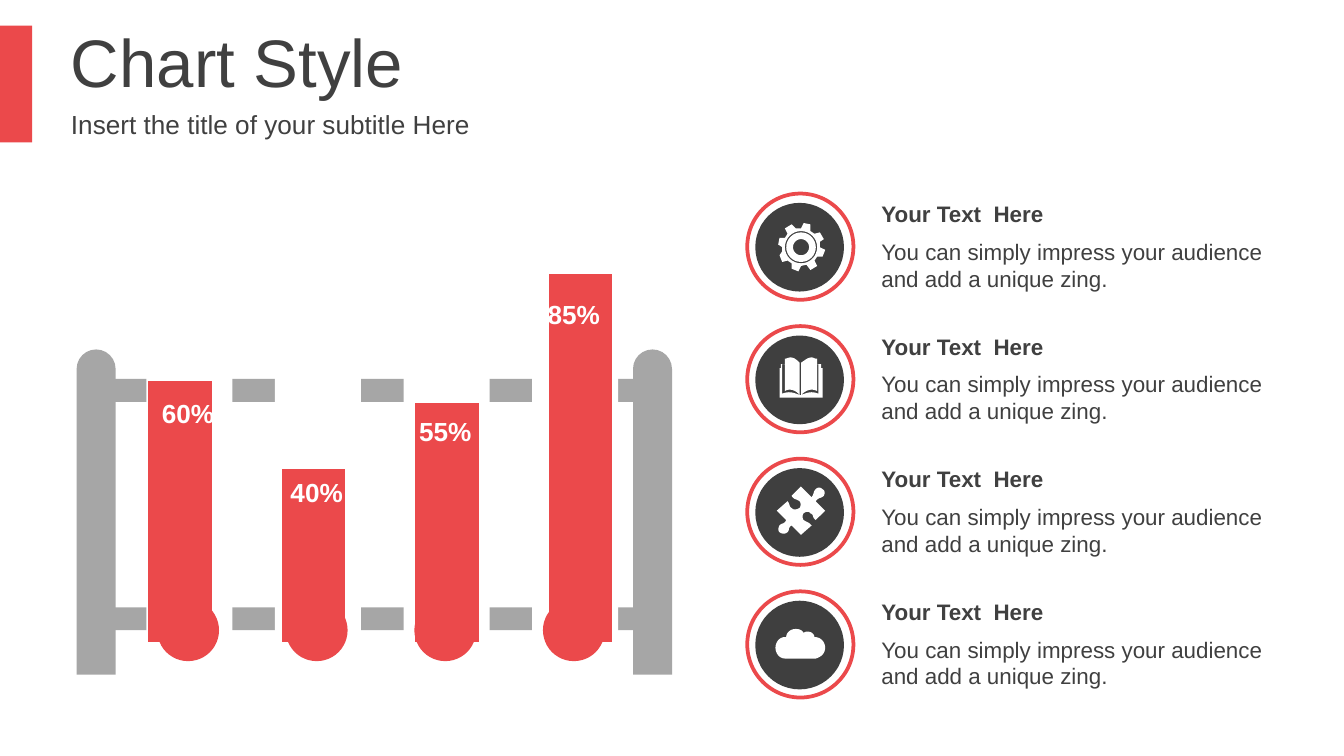
from math import cos, pi, sin

from lxml.etree import SubElement
from pptx import Presentation
from pptx.chart.data import CategoryChartData
from pptx.dml.color import RGBColor
from pptx.enum.chart import XL_CHART_TYPE
from pptx.enum.shapes import MSO_SHAPE
from pptx.enum.text import MSO_ANCHOR, PP_ALIGN
from pptx.oxml.ns import qn
from pptx.util import Inches, Pt

# Content
COLORS = {"red": "EB494B", "dark": "3F3F3F", "text": "404040",
          "gray": "A6A6A6", "white": "FFFFFF"}
TITLE = "Chart Style"
SUBTITLE = "Insert the title of your subtitle Here"
HEADING = "Your Text  Here"
BODY = "You can simply impress your audience and add a unique zing."
BARS = [("60%", 71, 2.9), ("40%", 47, 3.49), ("55%", 65, 3.04), ("85%", 100, 2.17)]
TUBE_LEFT, TUBE_SPAN = 0.96, 2.87  # first tube, distance to the last one
ROW_TOP, ROW_SPAN = 1.44, 2.96  # first row, distance to the last one

# Outlines: a pair is a straight line, six numbers are a Bezier curve
TUBE = [(1.05, 1.72), (1.77, 1.72), (1.82, 1.72, 1.86, 1.76, 1.86, 1.81),
        (1.86, 1.86, 1.82, 1.9, 1.77, 1.9), (1.73, 1.9), (1.73, 4.69),
        (1.73, 4.87, 1.59, 5.02, 1.41, 5.02), (1.23, 5.02, 1.09, 4.87, 1.09, 4.69),
        (1.09, 1.9), (1.05, 1.9), (1, 1.9, 0.96, 1.86, 0.96, 1.81),
        (0.96, 1.76, 1, 1.72, 1.05, 1.72)]
GEAR = [(6.03, 1.67), (6.03, 1.72), (6.06, 1.74), (6.1, 1.73), (6.13, 1.78),
        (6.1, 1.8), (6.1, 1.84), (6.14, 1.86), (6.12, 1.91), (6.08, 1.91),
        (6.06, 1.94), (6.08, 1.98), (6.03, 2.01), (6, 1.97), (5.96, 1.98),
        (5.94, 2.02), (5.89, 2), (5.89, 1.96), (5.86, 1.94), (5.82, 1.95),
        (5.8, 1.9), (5.82, 1.87), (5.82, 1.84), (5.79, 1.82), (5.8, 1.77),
        (5.84, 1.77), (5.86, 1.74), (5.84, 1.7), (5.89, 1.67), (5.92, 1.7),
        (5.96, 1.7), (5.98, 1.66)]
GEAR_CENTER, GEAR_RADII = (5.96, 1.84), (0.12, 0.11, 0.06)
BOOK = [(5.95, 2.94), (5.96, 2.94), (6.01, 2.92, 6.04, 2.91, 6.09, 2.93),
        (6.09, 2.71), (6.08, 2.71), (6.08, 2.91), (6.04, 2.89, 6, 2.9, 5.96, 2.94),
        (5.96, 2.7), (5.99, 2.68, 6.01, 2.66, 6.04, 2.66),
        (6.05, 2.66, 6.06, 2.67, 6.08, 2.67), (6.08, 2.71), (6.11, 2.71),
        (6.11, 2.74), (6.12, 2.74), (6.12, 2.96), (5.8, 2.96), (5.8, 2.74),
        (5.81, 2.74), (5.81, 2.71), (5.84, 2.71), (5.84, 2.67),
        (5.85, 2.67, 5.87, 2.66, 5.88, 2.66), (5.91, 2.66, 5.93, 2.68, 5.95, 2.7),
        (5.95, 2.94), (5.92, 2.9, 5.87, 2.89, 5.84, 2.91), (5.84, 2.71),
        (5.82, 2.71), (5.82, 2.93), (5.87, 2.91, 5.9, 2.92, 5.95, 2.94)]
PUZZLE = [(6.12, 3.64), (6.14, 3.65, 6.14, 3.67, 6.13, 3.69),
          (6.11, 3.71, 6.09, 3.7, 6.07, 3.73), (6.14, 3.8), (6.07, 3.87),
          (6.04, 3.85, 6.06, 3.83, 6.03, 3.82), (6.02, 3.8, 5.99, 3.81, 5.98, 3.82),
          (5.97, 3.83, 5.97, 3.86, 5.98, 3.87), (6.01, 3.89, 6.01, 3.88, 6.04, 3.91),
          (5.96, 3.98), (5.89, 3.91), (5.86, 3.93, 5.88, 3.94, 5.86, 3.96),
          (5.84, 3.98, 5.81, 3.97, 5.8, 3.96), (5.79, 3.95, 5.79, 3.93, 5.8, 3.91),
          (5.82, 3.89, 5.84, 3.9, 5.85, 3.87), (5.78, 3.8), (5.86, 3.73),
          (5.88, 3.75, 5.87, 3.77, 5.89, 3.78), (5.91, 3.8, 5.93, 3.79, 5.95, 3.78),
          (5.96, 3.77, 5.96, 3.74, 5.95, 3.73), (5.92, 3.71, 5.91, 3.72, 5.89, 3.69),
          (5.96, 3.62), (6.04, 3.7), (6.06, 3.67, 6.05, 3.66, 6.07, 3.64),
          (6.09, 3.62, 6.11, 3.63, 6.12, 3.64)]
CLOUD = [(5.92, 4.68), (5.95, 4.68, 5.97, 4.69, 5.98, 4.71),
         (5.99, 4.7, 6, 4.7, 6.01, 4.7), (6.04, 4.7, 6.06, 4.72, 6.06, 4.74),
         (6.11, 4.74, 6.14, 4.78, 6.14, 4.82), (6.14, 4.86, 6.11, 4.89, 6.07, 4.9),
         (5.84, 4.9), (5.8, 4.9, 5.77, 4.86, 5.77, 4.82),
         (5.77, 4.78, 5.8, 4.74, 5.84, 4.74), (5.85, 4.74),
         (5.85, 4.71, 5.88, 4.68, 5.92, 4.68)]

deck = Presentation()
deck.slide_width = Inches(10)
deck.slide_height = deck.slide_width * 9 // 16
page = deck.slides.add_slide(deck.slide_layouts[6])


def color(name):
    return RGBColor.from_string(COLORS[name])


def paint(shape, fill, line=None):
    shape.shadow.inherit = False
    shape.fill.solid()
    shape.fill.fore_color.rgb = color(fill)
    if line:
        shape.line.color.rgb = color(line)
        shape.line.width = Pt(2)
    else:
        shape.line.fill.background()
    return shape


def add_preset(kind, left, top, width, height, fill, line=None):
    shape = page.shapes.add_shape(kind, *map(Inches, (left, top, width, height)))
    return paint(shape, fill, line)


def add_text(text, left, top, width, height, size, ink="text", bold=False,
             align=PP_ALIGN.LEFT):
    box = page.shapes.add_textbox(*map(Inches, (left, top, width, height)))
    frame = box.text_frame
    frame.word_wrap = True
    frame.vertical_anchor = MSO_ANCHOR.MIDDLE
    para = frame.paragraphs[0]
    para.text = text
    para.alignment = align
    font = para.font
    font.name, font.size, font.bold = "Arial", Pt(size), bold
    font.color.rgb = color(ink)


def flatten(outline, steps=8):
    points = [outline[0]]
    for part in outline[1:]:
        if len(part) == 2:
            points.append(part)
            continue
        nodes = [points[-1], part[:2], part[2:4], part[4:]]
        for step in range(1, steps + 1):
            t = step / steps
            weights = ((1 - t) ** 3, 3 * t * (1 - t) ** 2, 3 * t * t * (1 - t), t ** 3)
            points.append(tuple(sum(w * node[axis] for w, node in zip(weights, nodes))
                                for axis in (0, 1)))
    return points


def circle(center, radius, count=32):
    return [(center[0] + radius * cos(2 * pi * i / count),
             center[1] + radius * sin(2 * pi * i / count)) for i in range(count)]


def add_outline(outlines, shift=0):
    loops = [[(Inches(x + shift), Inches(y)) for x, y in flatten(outline)]
             for outline in outlines]
    builder = page.shapes.build_freeform(*loops[0][0])
    for index, loop in enumerate(loops):
        if index:
            builder.move_to(*loop[0])
        builder.add_line_segments(loop[1:], close=True)
    paint(builder.convert_to_shape(), "white")


# Title
add_preset(MSO_SHAPE.RECTANGLE, 0, 0.19, 0.24, 0.87, "red")
add_text(TITLE, 0.43, 0.14, 7.64, 0.63, 36)
add_text(SUBTITLE, 0.43, 0.77, 7.64, 0.31, 14)

# Rack: posts and rails
for left in (0.57, 4.71):
    post = add_preset(MSO_SHAPE.ROUND_2_SAME_RECTANGLE, left, 2.6, 0.29, 2.42, "gray")
    post.adjustments[0], post.adjustments[1] = 0.5, 0
for left, top in ((0.73, 2.82), (0.8, 4.52)):
    add_preset(MSO_SHAPE.RECTANGLE, left, top, 4.14, 0.17, "gray")

# Test tubes
tube_pitch = TUBE_SPAN / (len(BARS) - 1)
for index in range(len(BARS)):
    add_outline([TUBE], index * tube_pitch)
    add_preset(MSO_SHAPE.OVAL, TUBE_LEFT + 0.21 + index * tube_pitch, 4.46,
               0.46, 0.46, "red")

# Column chart
data = CategoryChartData()
data.categories = [str(number) for number in range(1, len(BARS) + 1)]
data.add_series("Series 1", [value for _, value, _ in BARS])
chart = page.shapes.add_chart(XL_CHART_TYPE.COLUMN_CLUSTERED, Inches(0.76),
                              Inches(1.83), Inches(4.14), Inches(3.01), data).chart
chart.has_legend = chart.has_title = False
chart.font.name, chart.font.size = "Arial", Pt(10)
chart.font.color.rgb = RGBColor(0, 0, 0)
chart.category_axis.visible = chart.value_axis.visible = False
chart.value_axis.has_major_gridlines = False
chart.value_axis.minimum_scale, chart.value_axis.maximum_scale = 0, 100
plot = chart.plots[0]
plot.gap_width, plot.overlap, plot.vary_by_categories = 110, 100, False
fill = plot.series[0].format.fill
fill.solid()
fill.fore_color.rgb = color("red")

# Fixed plot area inside the chart frame
area = chart.element.find(".//" + qn("c:plotArea"))
for old in area.findall(qn("c:layout")):
    area.remove(old)
layout = SubElement(area, qn("c:layout"))
area.insert(0, layout)
manual = SubElement(layout, qn("c:manualLayout"))
for tag, value in (("layoutTarget", "inner"), ("xMode", "edge"), ("yMode", "edge"),
                   ("x", 0.02), ("y", 0.07), ("w", 0.96), ("h", 0.91)):
    SubElement(manual, qn("c:" + tag)).set("val", str(value))

# Percent labels
for index, (label, _, top) in enumerate(BARS):
    add_text(label, TUBE_LEFT + 0.01 + index * tube_pitch, top, 0.86, 0.34, 14,
             "white", True, PP_ALIGN.CENTER)

# Icon rows
gear = [GEAR] + [circle(GEAR_CENTER, radius) for radius in GEAR_RADII]
icons = (gear, [BOOK], [PUZZLE], [CLOUD])
for index, icon in enumerate(icons):
    top = ROW_TOP + index * ROW_SPAN / (len(icons) - 1)
    add_preset(MSO_SHAPE.OVAL, 5.56, top, 0.79, 0.79, "white", "red")
    add_preset(MSO_SHAPE.OVAL, 5.62, top + 0.07, 0.66, 0.66, "dark")
    add_outline(icon)
    add_text(HEADING, 6.46, top, 3.1, 0.3, 12, bold=True)
    add_text(BODY, 6.46, top + 0.28, 3.1, 0.5, 12)

deck.save("out.pptx")
